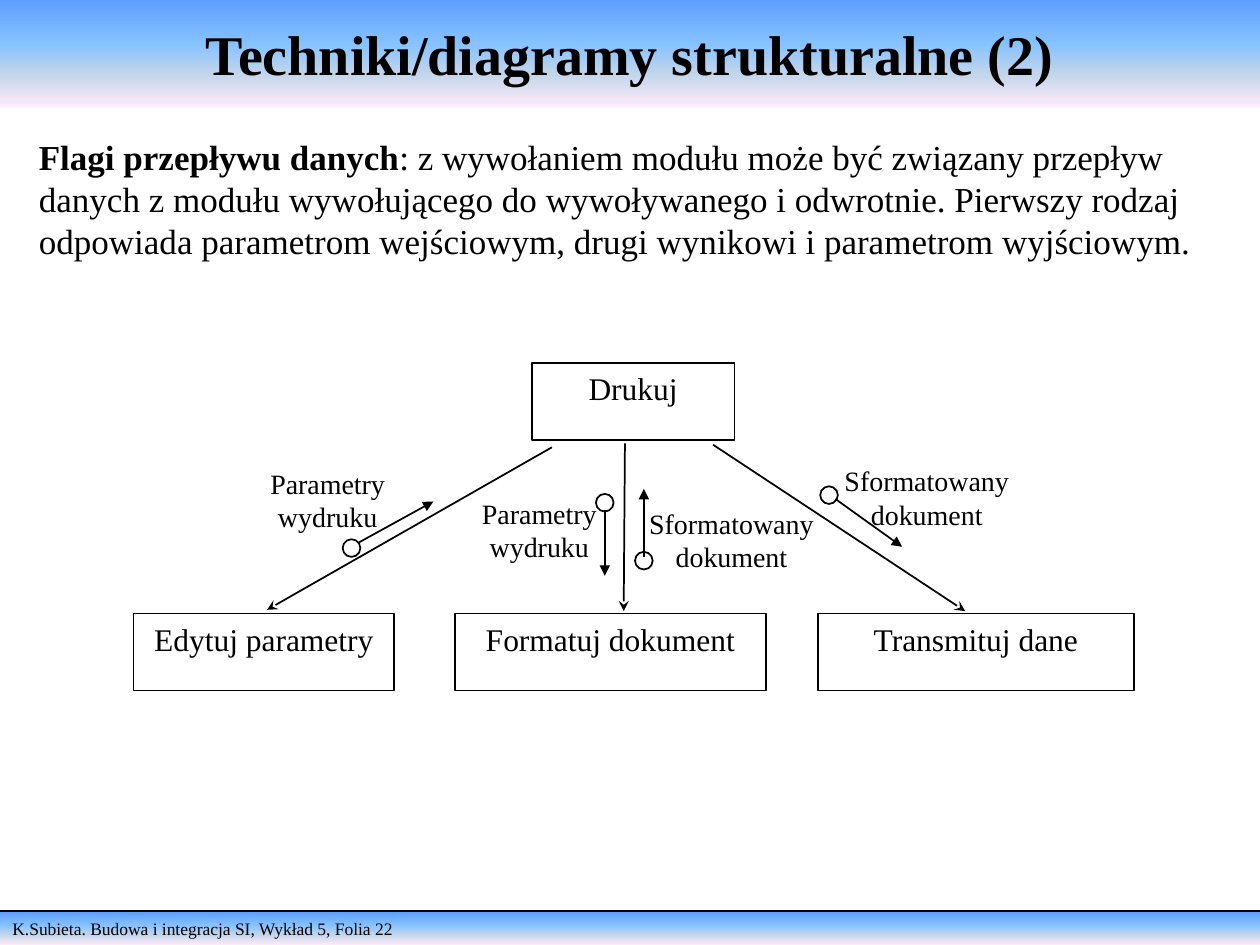
from lxml import etree
from pptx import Presentation
from pptx.dml.color import RGBColor
from pptx.enum.shapes import MSO_CONNECTOR, MSO_SHAPE
from pptx.enum.text import MSO_ANCHOR, PP_ALIGN
from pptx.oxml.ns import qn
from pptx.util import Inches, Pt

RECT, OVAL = MSO_SHAPE.RECTANGLE, MSO_SHAPE.OVAL
STRAIGHT = MSO_CONNECTOR.STRAIGHT
LEFT, CENTER = PP_ALIGN.LEFT, PP_ALIGN.CENTER
TOP, MIDDLE = MSO_ANCHOR.TOP, MSO_ANCHOR.MIDDLE
FONT = "Times New Roman"
COLORS = {"ink": "000000", "sky": "5E9EFF", "azure": "85C2FF", "mist": "C4D6EB", "blush": "FFEBFA"}
BAND_STOPS = [(0, "sky"), (40, "azure"), (70, "mist"), (100, "blush")]
INK = RGBColor.from_string(COLORS["ink"])

prs = Presentation()
prs.slide_width, prs.slide_height = Inches(10), Inches(7.5)
COL, ROW = prs.slide_width / 100, prs.slide_height / 75
slide = prs.slides.add_slide(prs.slide_layouts[5])
shapes = slide.shapes


def write(frame, paragraphs, size, align=CENTER, anchor=TOP, bold=False, wrap=True):
    frame.word_wrap = wrap
    frame.vertical_anchor = anchor
    for i, content in enumerate(paragraphs):
        paragraph = frame.paragraphs[0] if i == 0 else frame.add_paragraph()
        paragraph.alignment = align
        for text, strong in [(content, bold)] if isinstance(content, str) else content:
            run = paragraph.add_run()
            run.text = text
            run.font.name, run.font.size, run.font.bold = FONT, Pt(size), strong
            run.font.color.rgb = INK


def draw_line(start, end, head=None):
    (x1, y1), (x2, y2) = start, end
    line = shapes.add_connector(STRAIGHT, *map(round, (x1 * COL, y1 * ROW, x2 * COL, y2 * ROW)))
    line.line.color.rgb, line.line.width = INK, Pt(1)
    if head:
        etree.SubElement(line.line._get_or_add_ln(), qn("a:tailEnd"), type=head)
    etree.SubElement(line._element.spPr, qn("a:effectLst"))


title = shapes.title
title.left, title.top, title.width, title.height = 0, 0, prs.slide_width, round(8.5 * ROW)
write(title.text_frame, ["Techniki/diagramy strukturalne (2)"], 32, anchor=MIDDLE, bold=True)

footer = shapes.add_shape(RECT, 0, round(72.4 * ROW), prs.slide_width, round(2.6 * ROW))
footer.shadow.inherit = False
footer.line.fill.background()
write(footer.text_frame, ["K.Subieta. Budowa i integracja SI, Wykład 5, Folia 22"], 10, align=LEFT)

for band in (title, footer):
    band.fill.gradient()
    band.fill.gradient_angle = 270
    stops = band._element.spPr.find(".//" + qn("a:gsLst"))
    for stop in list(stops):
        stops.remove(stop)
    for share, color in BAND_STOPS:
        stop = etree.SubElement(stops, qn("a:gs"), pos=str(share * 1000))
        etree.SubElement(stop, qn("a:srgbClr"), val=COLORS[color])

draw_line((0, 72.3), (100, 72.3))

definition = shapes.add_textbox(*map(round, (2.1 * COL, 10.3 * ROW, 96.1 * COL, 11 * ROW)))
write(definition.text_frame, [[
    ("Flagi przepływu danych", True),
    (": z wywołaniem modułu może być związany przepływ danych z modułu wywołującego do "
     "wywoływanego i odwrotnie. Pierwszy rodzaj odpowiada parametrom wejściowym, drugi "
     "wynikowi i parametrom wyjściowym.", False),
]], 20, align=LEFT)

MODULES = [
    ("Drukuj", 42.2, 28.8, 16.1),
    ("Edytuj parametry", 10.6, 48.7, 20.7),
    ("Formatuj dokument", 36.1, 48.7, 24.7),
    ("Transmituj dane", 64.9, 48.7, 25.1),
]
for name, x, y, width in MODULES:
    module = shapes.add_shape(RECT, *map(round, (x * COL, y * ROW, width * COL, 6.1 * ROW)))
    module.shadow.inherit = False
    module.fill.background()
    module.line.color.rgb, module.line.width = INK, Pt(1)
    write(module.text_frame, [name], 18)

CALLS = [((43.8, 35.5), (21.2, 48.4)), ((49.6, 35.2), (49.5, 48.5)), ((56.6, 35.3), (76.6, 48.5))]
for start, end in CALLS:
    draw_line(start, end, head="stealth")

INPUT = (["Parametry", "wydruku"], 11.2)
OUTPUT = (["Sformatowany", "dokument"], 15.1)
FLAGS = [
    (INPUT, (20.4, 36.5), (27.2, 42.8), (28.4, 43.1), (34.4, 39.8)),
    (INPUT, (37.2, 38.9), (47.3, 39.2), (48, 40.5), (48, 45.7)),
    (OUTPUT, (50.5, 39.7), (50.4, 43.8), (51.1, 44.2), (51.1, 38.8)),
    (OUTPUT, (66, 36.3), (65.1, 38.6), (66.3, 39.6), (71.6, 43.4)),
]
for (words, width), (label_x, label_y), (ring_x, ring_y), start, end in FLAGS:
    ring = shapes.add_shape(OVAL, *map(round, (ring_x * COL, ring_y * ROW, 1.4 * COL, 1.4 * ROW)))
    ring.shadow.inherit = False
    ring.fill.background()
    ring.line.color.rgb, ring.line.width = INK, Pt(1)
    draw_line(start, end, head="triangle")
    label = shapes.add_textbox(*map(round, (label_x * COL, label_y * ROW, width * COL, 6.4 * ROW)))
    write(label.text_frame, words, 16, wrap=False)

prs.save("out.pptx")
